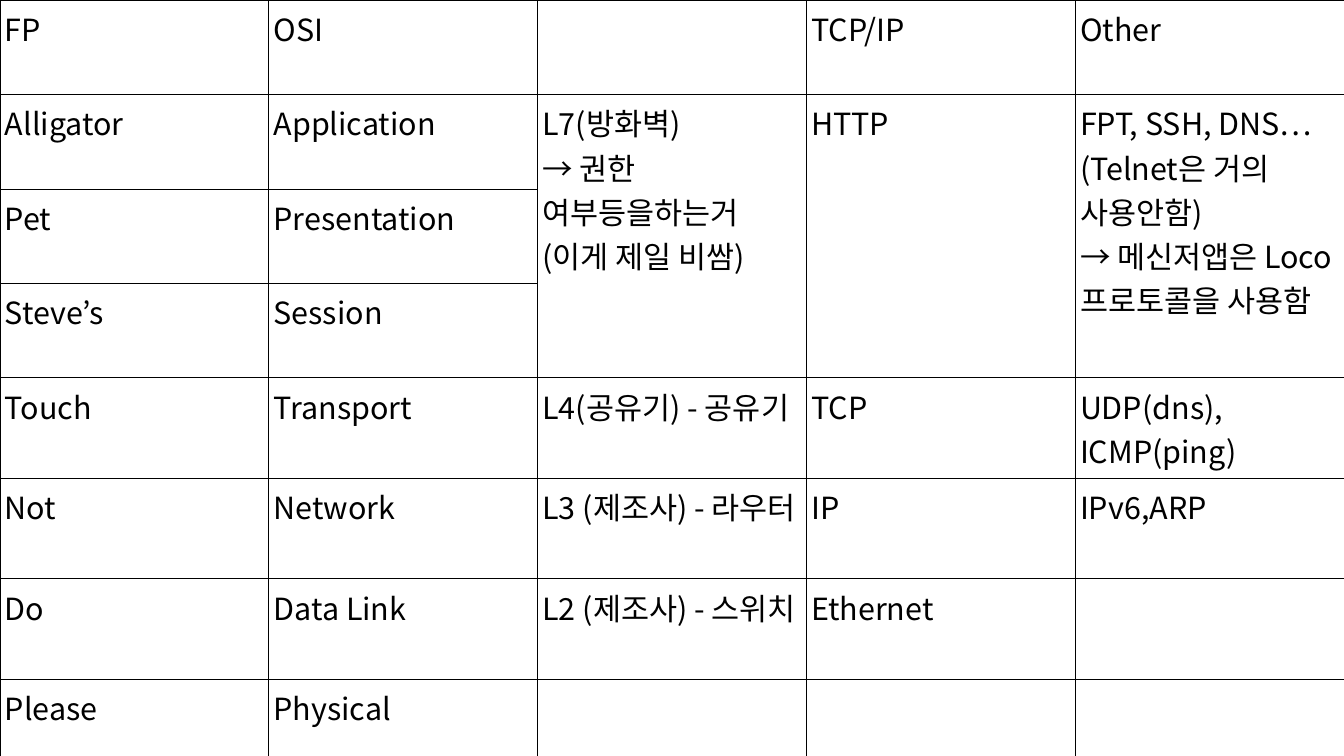
from lxml import etree
from pptx import Presentation
from pptx.dml.color import RGBColor
from pptx.oxml.ns import qn
from pptx.util import Inches, Pt

SLIDE_WIDTH, SLIDE_HEIGHT = Inches(11.02), Inches(6.2)
COLORS = {"text": "000000", "border": "000000", "cell": "FFFFFF"}
FONT_FORMAT = {"name": "Noto Sans CJK KR", "size": Pt(18)}
CELL_FORMAT = {
    "margin_left": Inches(0.04),
    "margin_right": Inches(0.04),
    "margin_top": Inches(0.05),
    "margin_bottom": Inches(0.05),
}
BORDER_SIDES = ("a:lnL", "a:lnR", "a:lnT", "a:lnB")
BORDER_WIDTH = Pt(0.57)

LAYERS = [
    ["FP", "OSI", "", "TCP/IP", "Other"],
    [
        "Alligator",
        "Application",
        "L7(방화벽)\n→ 권한 여부등을하는거 (이게 제일 비쌈)",
        "HTTP",
        "FPT, SSH, DNS…\n(Telnet은 거의 사용안함)\n→ 메신저앱은 Loco 프로토콜을 사용함",
    ],
    ["Pet", "Presentation", "", "", ""],
    ["Steve’s", "Session", "", "", ""],
    ["Touch", "Transport", "L4(공유기) - 공유기", "TCP", "UDP(dns), ICMP(ping)"],
    ["Not", "Network", "L3 (제조사) - 라우터", "IP", "IPv6,ARP"],
    ["Do", "Data Link", "L2 (제조사) - 스위치", "Ethernet", ""],
    ["Please", "Physical", "", "", ""],
]
UPPER_LAYERS = (1, 3)
MERGED_COLUMNS = (2, 3, 4)


def apply_format(target, values):
    for name, value in values.items():
        setattr(target, name, value)


class SlideBuilder:
    def __init__(self, presentation):
        self.slide = presentation.slides.add_slide(presentation.slide_layouts[6])
        self.width = presentation.slide_width
        self.height = presentation.slide_height

    def color(self, name):
        return RGBColor.from_string(COLORS[name])

    def add_table(self, rows, left=0, top=0, width=1, height=1):
        frame = self.slide.shapes.add_table(
            len(rows), len(rows[0]),
            int(left * self.width), int(top * self.height),
            int(width * self.width), int(height * self.height),
        )
        table = frame.table
        apply_format(table, {"first_row": False, "horz_banding": False})
        for row_index, texts in enumerate(rows):
            for column_index, text in enumerate(texts):
                self.fill_cell(table.cell(row_index, column_index), text)
        return table

    def fill_cell(self, cell, text):
        apply_format(cell, CELL_FORMAT)
        self.add_borders(cell)
        cell.fill.solid()
        cell.fill.fore_color.rgb = self.color("cell")
        cell.text = text
        for paragraph in cell.text_frame.paragraphs:
            for run in paragraph.runs:
                self.format_run(run)

    def format_run(self, run):
        apply_format(run.font, FONT_FORMAT)
        run.font.color.rgb = self.color("text")
        properties = run._r.get_or_add_rPr()
        etree.SubElement(properties, qn("a:ea"), typeface=FONT_FORMAT["name"])

    def add_borders(self, cell):
        properties = cell._tc.get_or_add_tcPr()
        for side in BORDER_SIDES:
            line = etree.SubElement(properties, qn(side), w=str(int(BORDER_WIDTH)))
            fill = etree.SubElement(line, qn("a:solidFill"))
            etree.SubElement(fill, qn("a:srgbClr"), val=COLORS["border"])

    def merge_rows(self, table, column, first, last):
        table.cell(first, column).merge(table.cell(last, column))


def main():
    presentation = Presentation()
    apply_format(presentation, {"slide_width": SLIDE_WIDTH, "slide_height": SLIDE_HEIGHT})
    builder = SlideBuilder(presentation)
    table = builder.add_table(LAYERS)
    for column in MERGED_COLUMNS:
        builder.merge_rows(table, column, *UPPER_LAYERS)
    presentation.save("out.pptx")


if __name__ == "__main__":
    main()
